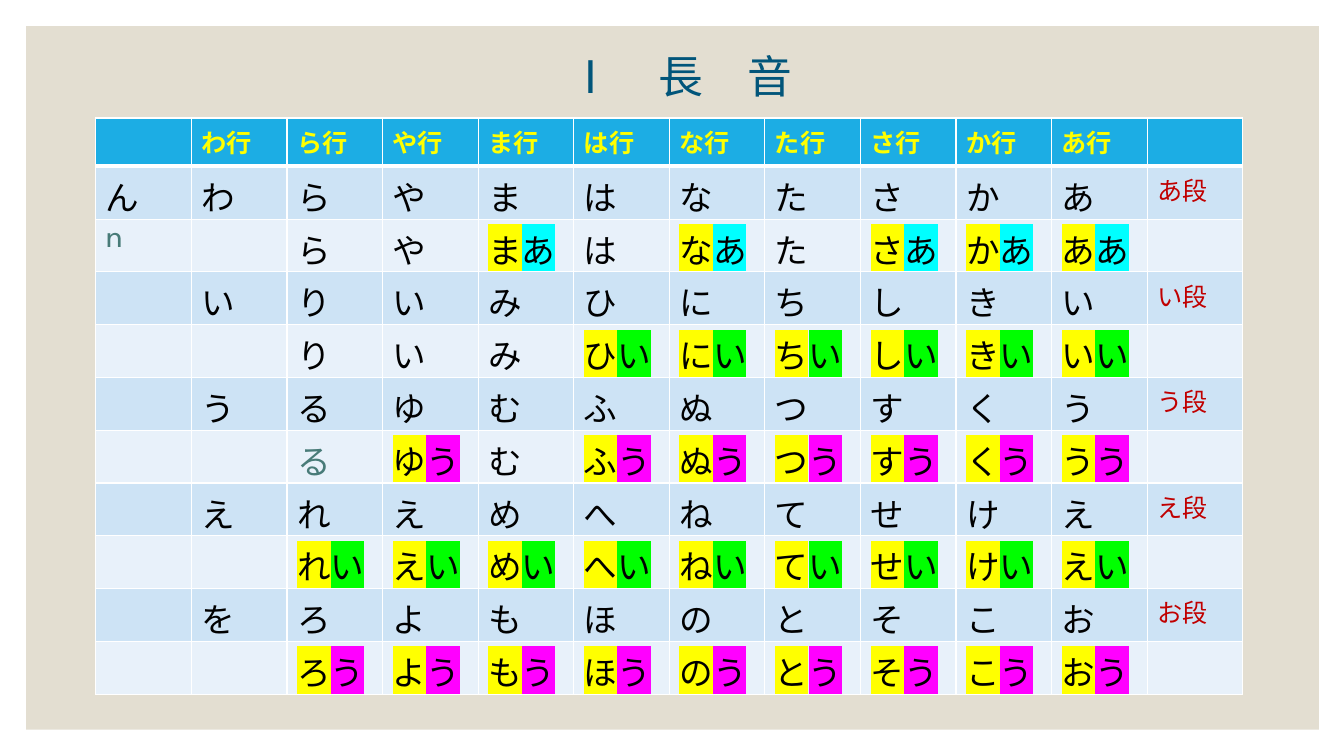
import dataclasses

import lxml.etree
import pptx
import pptx.dml.color
import pptx.enum.shapes
import pptx.enum.text
import pptx.oxml.ns
import pptx.util

Inches = pptx.util.Inches
qn = pptx.oxml.ns.qn


@dataclasses.dataclass(frozen=True)
class Theme:
    panel: str = "E3DED1"
    title: str = "01557A"
    header: str = "1CADE4"
    band: str = "CDE3F5"
    light_band: str = "E8F1FA"
    border: str = "FFFFFF"
    yellow: str = "FFFF00"
    black: str = "000000"
    muted: str = "487B78"
    red: str = "C00000"
    title_font: str = "Arial"
    table_font: str = "League Spartan"
    title_size: int = 32
    kana_size: int = 24
    label_size: int = 18


@dataclasses.dataclass(frozen=True)
class Dan:
    """One vowel row: its kana, the vowel that lengthens it, and the columns lengthened."""
    name: str
    kana: str
    vowel: str
    vowel_color: str
    long_columns: str


@dataclasses.dataclass(frozen=True)
class Run:
    text: str
    size: int
    color: str
    font: str
    bold: bool = False
    highlight: str = ""


THEME = Theme()
COLUMNS = "わらやまはなたさかあ"
DANS = [
    Dan("あ", "わらやまはなたさかあ", "あ", "00FFFF", "まなさかあ"),
    Dan("い", "いりいみひにちしきい", "い", "00FF00", "はなたさかあ"),
    Dan("う", "うるゆむふぬつすくう", "う", "FF00FF", "やはなたさかあ"),
    Dan("え", "えれえめへねてせけえ", "い", "00FF00", COLUMNS[1:]),
    Dan("お", "をろよもほのとそこお", "う", "FF00FF", COLUMNS[1:]),
]
TABLE_LEFT, TABLE_TOP, TABLE_WIDTH, TABLE_HEIGHT = 0.95, 1.17, 11.38, 5.72
HEADER_HEIGHT = 0.48


def rgb(color: str) -> pptx.dml.color.RGBColor:
    return pptx.dml.color.RGBColor.from_string(color)


def label(text: str, color: str, bold: bool = False) -> Run:
    return Run(text, THEME.label_size, color, THEME.table_font, bold)


def kana(text: str, color: str = THEME.black, highlight: str = "") -> Run:
    return Run(text, THEME.kana_size, color, THEME.table_font, highlight=highlight)


def add_run(p, run: Run) -> None:
    r = p.add_run()
    r.text = run.text
    r.font.size = pptx.util.Pt(run.size)
    r.font.bold = run.bold
    r.font.color.rgb = rgb(run.color)
    r.font.name = run.font
    if run.highlight:
        highlight = lxml.etree.Element(qn("a:highlight"))
        lxml.etree.SubElement(highlight, qn("a:srgbClr"), val=run.highlight)
        r.font.fill  # highlight must follow the text fill
        r.font._element.find(qn("a:solidFill")).addnext(highlight)


def set_borders(cell, top: int, bottom: int) -> None:
    tc_pr = cell._tc.get_or_add_tcPr()
    widths = {"a:lnL": 1, "a:lnR": 1, "a:lnT": top, "a:lnB": bottom}
    for i, (tag, width) in enumerate(widths.items()):
        ln = lxml.etree.Element(qn(tag), w=str(pptx.util.Pt(width)))
        fill = lxml.etree.SubElement(ln, qn("a:solidFill"))
        lxml.etree.SubElement(fill, qn("a:srgbClr"), val=THEME.border)
        tc_pr.insert(i, ln)


def plain_row(dan: Dan) -> list[list[Run]]:
    first = [kana("ん")] if dan.name == "あ" else []
    return [first, *([kana(k)] for k in dan.kana), [label(dan.name + "段", THEME.red)]]


def long_row(dan: Dan) -> list[list[Run]]:
    """The same kana without わ行, lengthened where the column allows it."""
    row = [[kana("n", THEME.muted)] if dan.name == "あ" else [], []]
    for column, k in zip(COLUMNS[1:], dan.kana[1:]):
        if column in dan.long_columns:
            row.append([kana(k, highlight=THEME.yellow),
                        kana(dan.vowel, highlight=dan.vowel_color)])
        else:
            row.append([kana(k, THEME.muted if k == "る" else THEME.black)])
    return [*row, []]


def add_panel(slide) -> None:
    sp = slide.shapes.add_shape(pptx.enum.shapes.MSO_SHAPE.RECTANGLE,
                                Inches(0.26), Inches(0.26), Inches(12.82), Inches(6.98))
    sp.shadow.inherit = False
    sp.fill.solid()
    sp.fill.fore_color.rgb = rgb(THEME.panel)
    sp.line.fill.background()


def add_title(slide, text: str) -> None:
    sp = slide.shapes.add_textbox(Inches(1.74), Inches(0.43), Inches(10.02), Inches(0.64))
    tf = sp.text_frame
    tf.word_wrap = True
    tf.margin_top = tf.margin_bottom = 0
    tf.vertical_anchor = pptx.enum.text.MSO_ANCHOR.MIDDLE
    p = tf.paragraphs[0]
    p.alignment = pptx.enum.text.PP_ALIGN.CENTER
    add_run(p, Run(text, THEME.title_size, THEME.title, THEME.title_font))


def add_kana_table(slide) -> None:
    header = [[], *([label(c + "行", THEME.yellow, True)] for c in COLUMNS), []]
    rows = [header]
    for dan in DANS:
        rows += [plain_row(dan), long_row(dan)]
    table = slide.shapes.add_table(len(rows), len(header), Inches(TABLE_LEFT), Inches(TABLE_TOP),
                                   Inches(TABLE_WIDTH), Inches(TABLE_HEIGHT)).table
    table.first_row = table.horz_banding = False
    for column in table.columns:
        column.width = Inches(TABLE_WIDTH / len(header))
    for i, row in enumerate(rows):
        body_height = (TABLE_HEIGHT - HEADER_HEIGHT) / (len(rows) - 1)
        table.rows[i].height = Inches(body_height if i else HEADER_HEIGHT)
        color = THEME.header if i == 0 else THEME.band if i % 2 else THEME.light_band
        for j, runs in enumerate(row):
            cell = table.cell(i, j)
            cell.margin_bottom = 0
            cell.fill.solid()
            cell.fill.fore_color.rgb = rgb(color)
            set_borders(cell, top=3 if i == 1 else 1, bottom=3 if i == 0 else 1)
            for run in runs:
                add_run(cell.text_frame.paragraphs[0], run)


def main() -> None:
    prs = pptx.Presentation()
    prs.slide_width, prs.slide_height = Inches(13.33), Inches(7.5)
    slide = prs.slides.add_slide(prs.slide_layouts[6])
    add_panel(slide)
    add_title(slide, "Ⅰ　長　音")
    add_kana_table(slide)
    prs.save("out.pptx")


if __name__ == "__main__":
    main()
